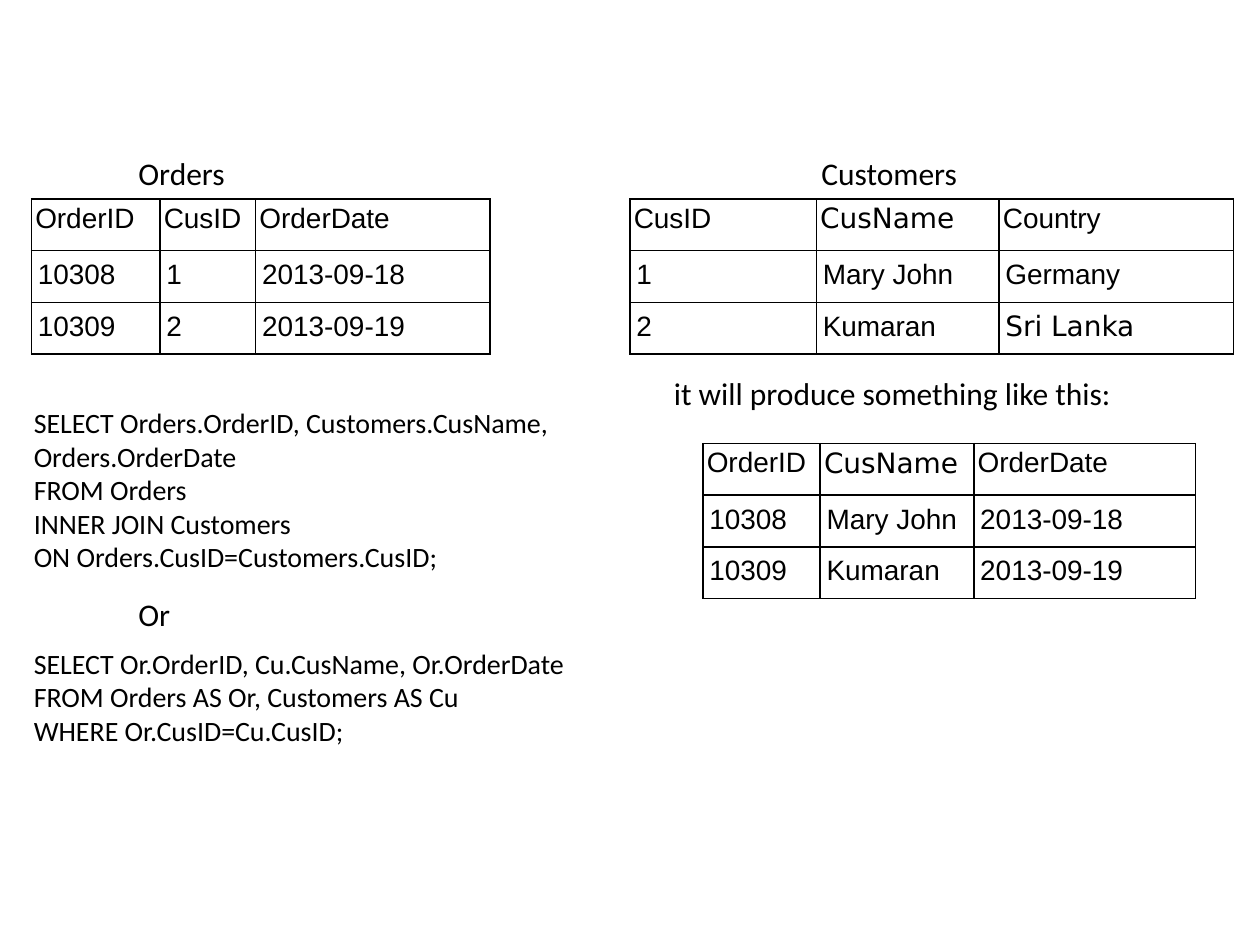
from dataclasses import dataclass

from lxml import etree
from pptx import Presentation
from pptx.dml.color import RGBColor
from pptx.enum import text as text_enum
from pptx.oxml import ns
from pptx.util import Inches, Pt

BLACK = "000000"
ROW_HEIGHT = 0.41
BORDER_POINTS = 1
DEJAVU_TEXTS = {"CusName", "Sri Lanka"}


@dataclass
class DataTable:
    left: float
    top: float
    widths: list[float]
    rows: list[list[str]]


@dataclass
class TextBlock:
    left: float
    top: float
    width: float
    height: float
    text: str
    size: int = 18
    wrap: bool = False


TABLES = [
    DataTable(0.25, 1.58, [1.02, 0.76, 1.86], [
        ["OrderID", "CusID", "OrderDate"],
        ["10308", "1", "2013-09-18"],
        ["10309", "2", "2013-09-19"],
    ]),
    DataTable(5, 1.58, [1.48, 1.45, 1.86], [
        ["CusID", "CusName", "Country"],
        ["1", "Mary John", "Germany"],
        ["2", "Kumaran", "Sri Lanka"],
    ]),
    DataTable(5.58, 3.52, [0.93, 1.22, 1.76], [
        ["OrderID", "CusName", "OrderDate"],
        ["10308", "Mary John", "2013-09-18"],
        ["10309", "Kumaran", "2013-09-19"],
    ]),
]

JOIN_QUERY = """SELECT Orders.OrderID, Customers.CusName, Orders.OrderDate
FROM Orders
INNER JOIN Customers
ON Orders.CusID=Customers.CusID;"""

ALIAS_QUERY = """SELECT Or.OrderID, Cu.CusName, Or.OrderDate
FROM Orders AS Or, Customers AS Cu
WHERE Or.CusID=Cu.CusID;"""

TEXT_BLOCKS = [
    TextBlock(0.17, 3.17, 5.33, 1.45, JOIN_QUERY, 16, True),
    TextBlock(1, 1.17, 1.12, 0.44, "Orders"),
    TextBlock(6.42, 1.17, 1.67, 0.44, "Customers"),
    TextBlock(0.17, 5.08, 5.33, 0.91, ALIAS_QUERY, 16, True),
    TextBlock(1, 4.67, 0.53, 0.44, "Or"),
    TextBlock(5.25, 2.92, 4.79, 0.44, "it will produce something like this:"),
]


def color(hex_value: str) -> RGBColor:
    return RGBColor.from_string(hex_value)


def write(paragraph, text: str, name: str, size: int) -> None:
    paragraph.text = text
    paragraph.font.name = name
    paragraph.font.size = Pt(size)
    paragraph.font.bold = False
    paragraph.font.color.rgb = color(BLACK)


def add_borders(cell) -> None:
    properties = cell._tc.get_or_add_tcPr()
    for position, side in enumerate(("lnL", "lnR", "lnT", "lnB")):
        line = etree.Element(ns.qn(f"a:{side}"), w=str(Pt(BORDER_POINTS)))
        fill = etree.SubElement(line, ns.qn("a:solidFill"))
        etree.SubElement(fill, ns.qn("a:srgbClr"), val=BLACK)
        properties.insert(position, line)


def add_data_table(slide, data: DataTable) -> None:
    frame = slide.shapes.add_table(
        len(data.rows), len(data.widths), Inches(data.left), Inches(data.top),
        Inches(sum(data.widths)), Inches(ROW_HEIGHT * len(data.rows)))
    table = frame.table
    table.first_row = table.horz_banding = False
    for column, width in zip(table.columns, data.widths):
        column.width = Inches(width)
    for row_index, values in enumerate(data.rows):
        table.rows[row_index].height = Inches(ROW_HEIGHT)
        # The header row has tighter margins than the data rows
        side, edge = (0.05, 0.07) if row_index else (0.03, 0.03)
        for column_index, value in enumerate(values):
            cell = table.cell(row_index, column_index)
            cell.margin_left = cell.margin_right = Inches(side)
            cell.margin_top = cell.margin_bottom = Inches(edge)
            cell.fill.background()
            add_borders(cell)
            name = "DejaVu Sans" if value in DEJAVU_TEXTS else "Arial"
            write(cell.text_frame.paragraphs[0], value, name, 16)


def add_text_block(slide, block: TextBlock) -> None:
    shape = slide.shapes.add_textbox(
        Inches(block.left), Inches(block.top), Inches(block.width), Inches(block.height))
    frame = shape.text_frame
    frame.word_wrap = block.wrap
    frame.auto_size = text_enum.MSO_AUTO_SIZE.SHAPE_TO_FIT_TEXT
    write(frame.paragraphs[0], block.text, "Calibri", block.size)


def main() -> None:
    presentation = Presentation()
    presentation.slide_width = Inches(10)
    presentation.slide_height = Inches(7.5)
    slide = presentation.slides.add_slide(presentation.slide_layouts[6])

    # Source tables and the joined result
    for data in TABLES:
        add_data_table(slide, data)

    # Captions and queries
    for block in TEXT_BLOCKS:
        add_text_block(slide, block)

    presentation.save("out.pptx")


if __name__ == "__main__":
    main()
